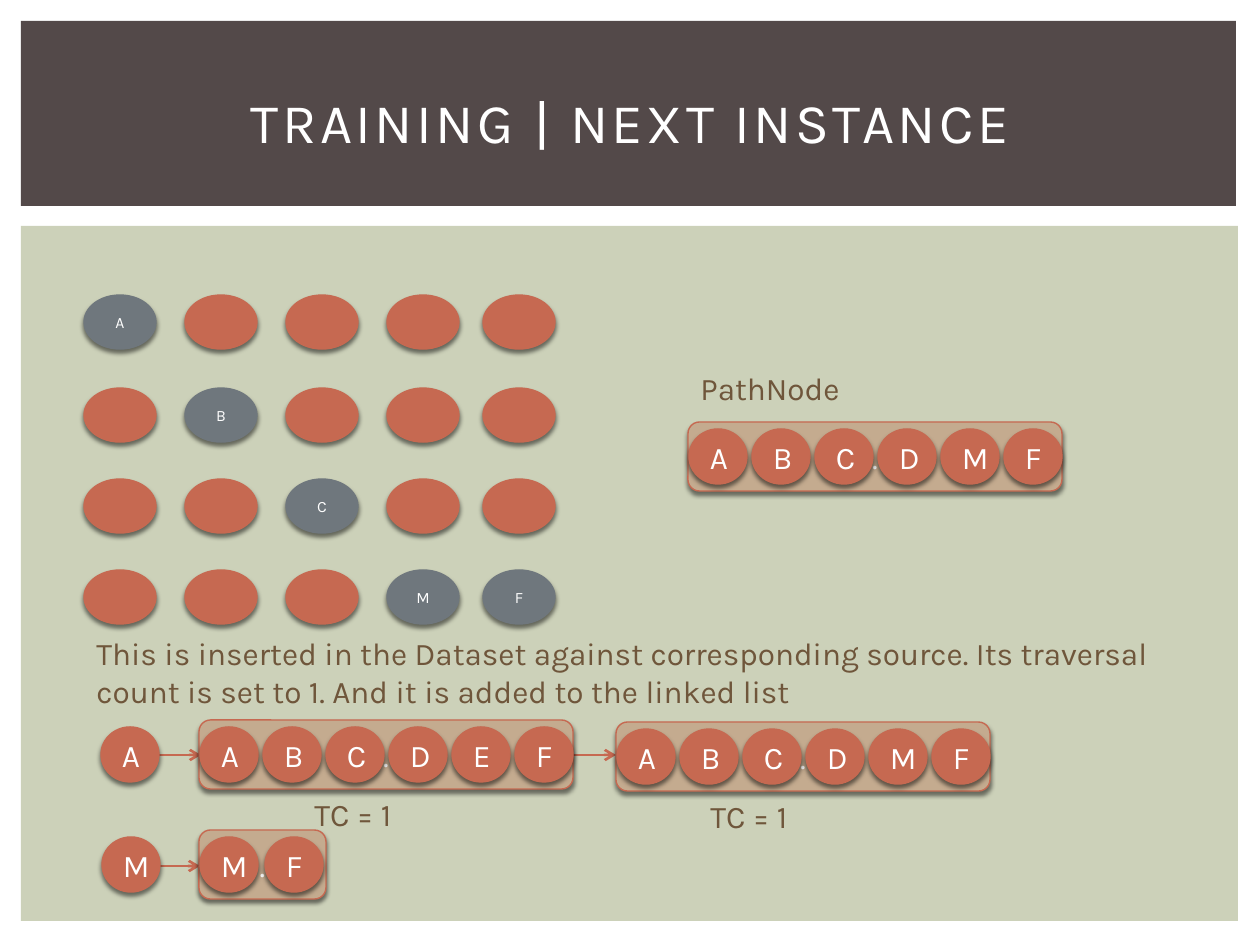
from dataclasses import dataclass

from lxml import etree
from pptx import Presentation
from pptx.dml.color import RGBColor
from pptx.enum.shapes import MSO_CONNECTOR, MSO_SHAPE
from pptx.enum.text import MSO_ANCHOR, MSO_AUTO_SIZE, PP_ALIGN
from pptx.oxml.ns import qn
from pptx.util import Pt

RECT, ROUND, OVAL = MSO_SHAPE.RECTANGLE, MSO_SHAPE.ROUNDED_RECTANGLE, MSO_SHAPE.OVAL
STRAIGHT = MSO_CONNECTOR.STRAIGHT
CENTER, LEFT = PP_ALIGN.CENTER, PP_ALIGN.LEFT
MIDDLE, TOP = MSO_ANCHOR.MIDDLE, MSO_ANCHOR.TOP
GROW = MSO_AUTO_SIZE.SHAPE_TO_FIT_TEXT

SCALE = 914400 / 126
FONT = "Karla"
WHITE, SAGE, DARK, BROWN = "FFFFFF", "CCD1B9", "534949", "6F563B"
RED, GREY, TAN = "C66951", "6F777D", "C4AB8F"


@dataclass
class Box:
    """A place on the slide, in pixels."""
    left: int
    top: int
    width: int
    height: int


@dataclass
class Strip:
    """A path of lettered chips on a rounded bar."""
    left: int
    top: int
    width: int
    letters: str
    step: int = 63


@dataclass
class Arrow:
    """A level arrow from one x to another."""
    start: int
    end: int
    y: int


@dataclass
class Note:
    """A brown text and its place."""
    text: str
    box: Box


PANELS = [(Box(21, 226, 1217, 695), SAGE), (Box(21, 21, 1215, 185), DARK)]
COLS, ROWS = [84, 185, 286, 387, 483], [295, 388, 479, 570]
VISITED = {(0, 0): "A", (1, 1): "B", (2, 2): "C", (3, 3): "M", (3, 4): "F"}
STRIPS = [
    Strip(688, 422, 374, "ABCDMF"),
    Strip(199, 720, 374, "ABCDEF"),
    Strip(616, 722, 374, "ABCDMF"),
    Strip(199, 830, 127, "MF", 65),
]
SOURCES = [("A", 101, 727), ("M", 102, 837)]
ARROWS = [Arrow(159, 201, 755), Arrow(573, 616, 755), Arrow(159, 200, 866)]
NOTES = [
    Note("PathNode", Box(688, 363, 175, 50)),
    Note("This is inserted in the Dataset against corresponding source. "
         "Its traversal count is set to 1. And it is added to the linked list",
         Box(84, 628, 1124, 89)),
    Note("TC = 1", Box(302, 789, 175, 50)),
    Note("TC = 1", Box(698, 791, 175, 50)),
]


def px(value: int) -> int:
    """Turn pixels into EMU."""
    return round(value * SCALE)


def place(box: Box) -> list[int]:
    """Give a box as EMU lengths."""
    return [px(v) for v in (box.left, box.top, box.width, box.height)]


def color(code: str) -> RGBColor:
    """Read a hex colour."""
    return RGBColor.from_string(code)


def write(shape, text: str, size: int, tint: str, align=CENTER, anchor=MIDDLE):
    """Put one styled run into a shape and return it."""
    frame = shape.text_frame
    frame.word_wrap, frame.vertical_anchor = True, anchor
    para = frame.paragraphs[0]
    para.alignment = align
    run = para.add_run()
    run.text = text
    style = {"name": FONT, "size": Pt(size), "bold": False}
    for key, value in style.items():
        setattr(run.font, key, value)
    run.font.color.rgb = color(tint)
    return run


def shade(shape) -> None:
    """Add a soft shadow below a shape."""
    effects = shape._element.spPr.find(qn("a:effectLst"))
    drop = etree.SubElement(effects, qn("a:outerShdw"), blurRad=str(Pt(2.5)),
                            dist=str(Pt(2)), dir="5400000", rotWithShape="0")
    tone = etree.SubElement(drop, qn("a:srgbClr"), val="000000")
    etree.SubElement(tone, qn("a:alpha"), val="50000")


def draw(slide, kind, box: Box, fill: str, line: str = "", text: str = "", size: int = 18):
    """Draw a filled shape; one with an outline also gets a shadow."""
    shape = slide.shapes.add_shape(kind, *place(box))
    shape.shadow.inherit = False
    shape.fill.solid()
    shape.fill.fore_color.rgb = color(fill)
    if line:
        shape.line.color.rgb = color(line)
        shape.line.width = Pt(0.79)
        shade(shape)
    else:
        shape.line.fill.background()
    if text:
        write(shape, text, size, WHITE)


def chip(slide, letter: str, left: int, top: int) -> None:
    """Draw one lettered chip."""
    draw(slide, OVAL, Box(left, top, 58, 55), RED, RED, letter)


def path_bar(slide, strip: Strip) -> None:
    """Draw a bar and its chips."""
    draw(slide, ROUND, Box(strip.left, strip.top, strip.width, 69), TAN, RED, ".")
    for i, letter in enumerate(strip.letters):
        chip(slide, letter, strip.left + 1 + i * strip.step, strip.top + 7)


def link(slide, arrow: Arrow) -> None:
    """Draw an arrow."""
    y = px(arrow.y)
    line = slide.shapes.add_connector(STRAIGHT, px(arrow.start), y, px(arrow.end), y)
    line.line.color.rgb = color(RED)
    line.line.width = Pt(1.5)
    etree.SubElement(line.line._get_or_add_ln(), qn("a:tailEnd"), type="arrow")
    etree.SubElement(line._element.spPr, qn("a:effectLst"))


def grid(slide) -> None:
    """Draw the grid of nodes, with the visited ones in grey."""
    for r, top in enumerate(ROWS):
        for c, left in enumerate(COLS):
            letter = VISITED.get((r, c), "")
            tint = GREY if letter else RED
            draw(slide, OVAL, Box(left, top, 72, 54), tint, tint, letter, 9)


def head(slide) -> None:
    """Set the title above the panels."""
    title = slide.shapes.title
    slide.shapes._spTree.append(title._element)
    title.left, title.top, title.width, title.height = place(Box(53, 49, 1155, 145))
    run = write(title, "TRAINING | NEXT INSTANCE", 32, WHITE)
    run.font._element.set("spc", "200")


def main() -> None:
    """Build the slide and save it."""
    deck = Presentation()
    deck.slide_width, deck.slide_height = px(1260), px(945)
    slide = deck.slides.add_slide(deck.slide_layouts[5])
    for box, fill in PANELS:
        draw(slide, RECT, box, fill)
    head(slide)
    grid(slide)
    for arrow in ARROWS:
        link(slide, arrow)
    for strip in STRIPS:
        path_bar(slide, strip)
    for letter, left, top in SOURCES:
        chip(slide, letter, left, top)
    for note in NOTES:
        label = slide.shapes.add_textbox(*place(note.box))
        write(label, note.text, 18, BROWN, LEFT, TOP)
        label.text_frame.auto_size = GROW
    deck.save("out.pptx")


main()
